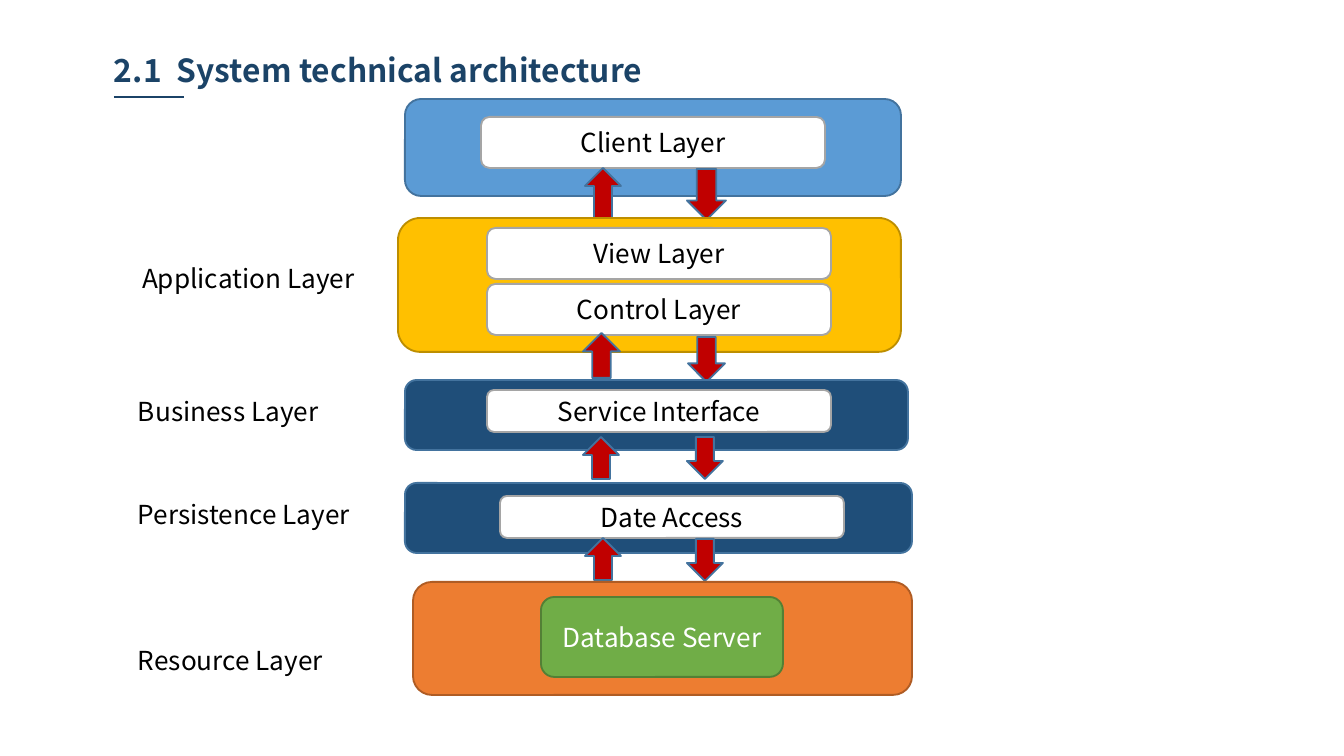
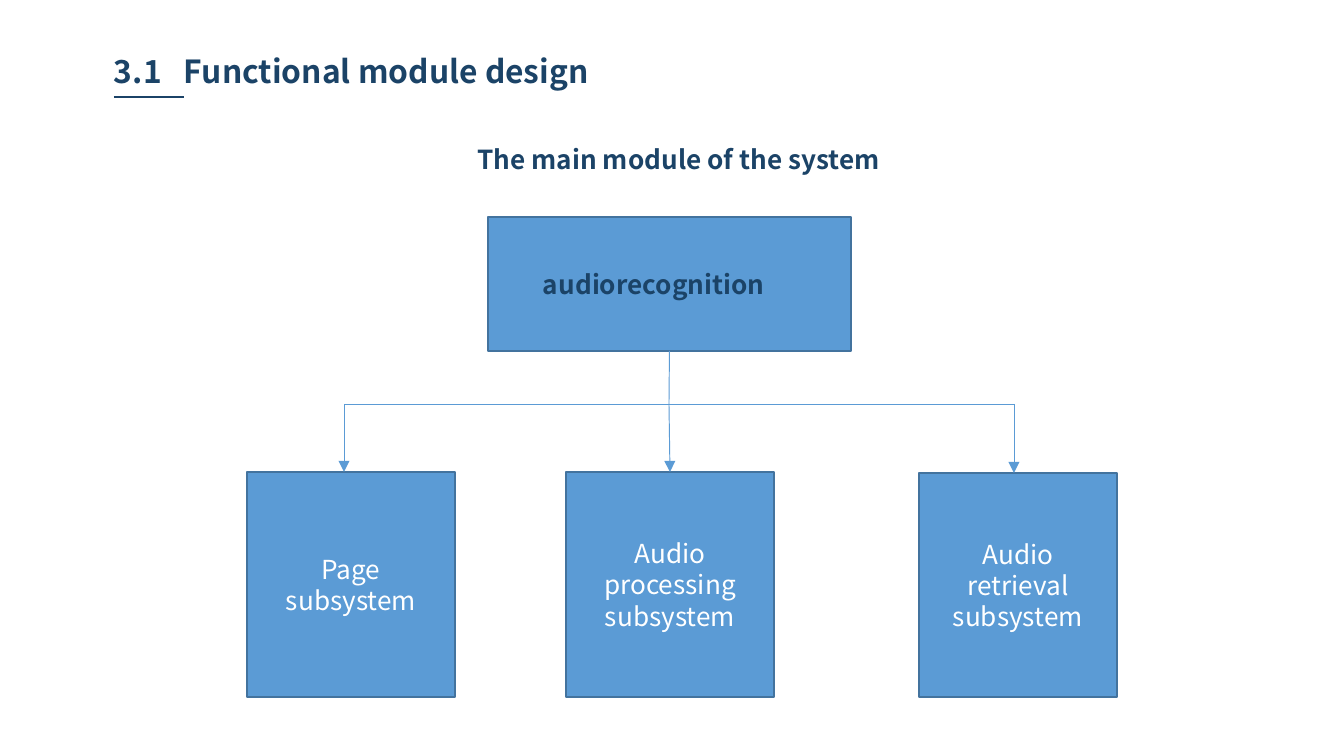
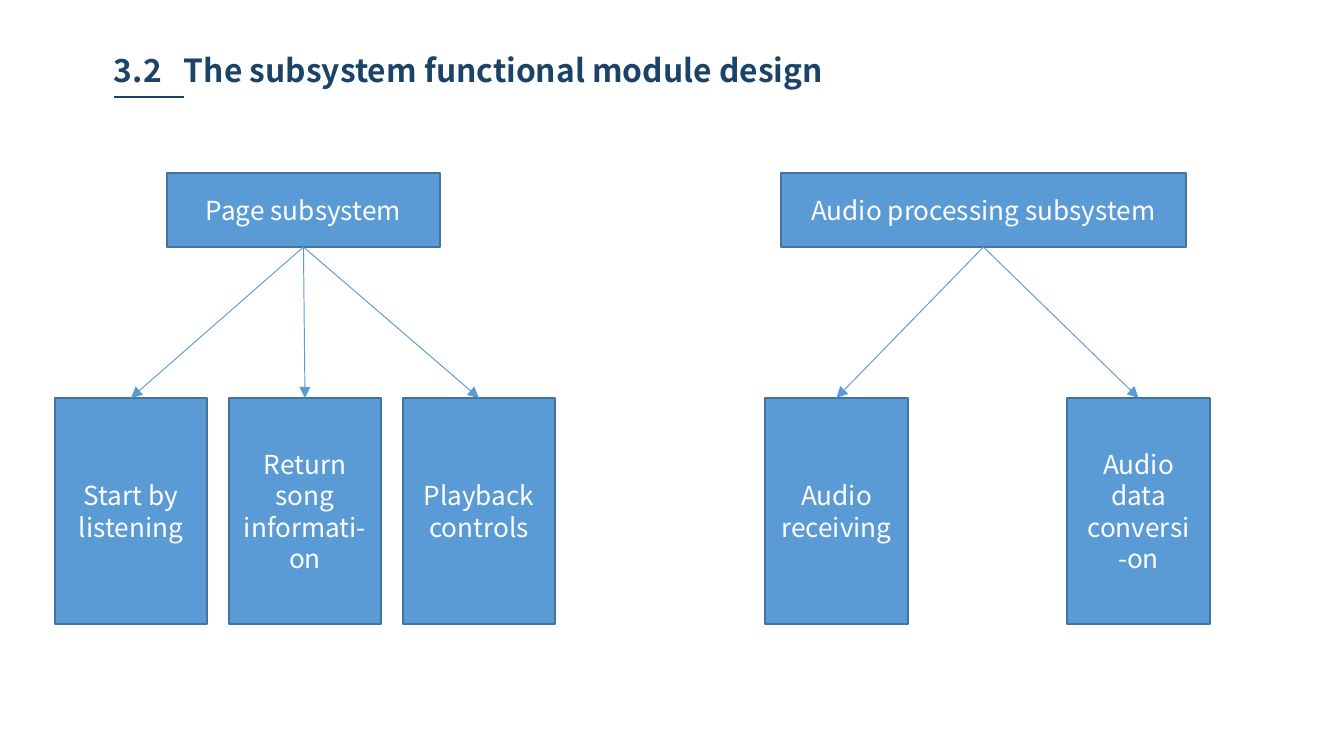
from lxml import etree
from pptx import Presentation
from pptx import util as u
from pptx.dml import color
from pptx.enum import shapes, text
from pptx.oxml import ns

SCALE = 914400 / 134.4
FONT = "Noto Sans CJK SC"
NAVY, BLUE, EDGE, WHITE, BLACK = "1B4367", "5B9BD5", "43739E", "FFFFFF", "000000"
GREY, RED, DEEP = "A5A5A5", "C00000", "1F4E79"
RECT = shapes.MSO_SHAPE.RECTANGLE
ROUND = shapes.MSO_SHAPE.ROUNDED_RECTANGLE
UP, DOWN = shapes.MSO_SHAPE.UP_ARROW, shapes.MSO_SHAPE.DOWN_ARROW
LEFT, CENTER, RIGHT = text.PP_ALIGN.LEFT, text.PP_ALIGN.CENTER, text.PP_ALIGN.RIGHT
TOP, MIDDLE = text.MSO_ANCHOR.TOP, text.MSO_ANCHOR.MIDDLE


def px(value):
    return u.Emu(round(value * SCALE))


def rgb(value):
    return color.RGBColor.from_string(value)


def set_formats(target, formats):
    for name, value in formats.items():
        setattr(target, name, value)


class Painter:
    def __init__(self):
        self.deck = Presentation()
        set_formats(self.deck, {"slide_width": px(1344), "slide_height": px(756)})
        self.page = None

    def new_page(self, number, title, place, tab):
        self.page = self.deck.slides.add_slide(self.deck.slide_layouts[6])
        para = self.label(f"{number}\t{title}", place, ink=NAVY, size=17,
                          bold=True, inset=(9, 5), wrap=True)
        stops = etree.SubElement(para._p.get_or_add_pPr(), ns.qn("a:tabLst"))
        etree.SubElement(stops, ns.qn("a:tab"), pos=str(px(tab)), algn="l")
        self.line((114, 97), (184, 97), ink=NAVY, width=0.75)

    def put_text(self, box, words, ink, size=14, bold=False, align=CENTER,
                 anchor=MIDDLE, inset=(13, 7), wrap=True):
        side, edge = map(px, inset)
        set_formats(box.text_frame, {
            "word_wrap": wrap, "vertical_anchor": anchor,
            "margin_left": side, "margin_right": side,
            "margin_top": edge, "margin_bottom": edge})
        para = box.text_frame.paragraphs[0]
        para.alignment = align
        span = para.add_run()
        span.text = words
        set_formats(span.font, {"name": FONT, "size": u.Pt(size), "bold": bold})
        span.font.color.rgb = rgb(ink)
        return para

    def label(self, words, place, ink=BLACK, align=LEFT, wrap=False, **formats):
        box = self.page.shapes.add_textbox(*map(px, place))
        return self.put_text(box, words, ink, align=align, anchor=TOP, wrap=wrap, **formats)

    def shape(self, kind, place, fill=BLUE, edge=EDGE):
        box = self.page.shapes.add_shape(kind, *map(px, place))
        box.shadow.inherit = False
        box.fill.solid()
        box.fill.fore_color.rgb = rgb(fill)
        box.line.color.rgb = rgb(edge)
        box.line.width = u.Pt(1)
        return box

    def node(self, words, place):
        box = self.shape(RECT, place)
        self.put_text(box, words, WHITE)
        return box

    def line(self, start, end, ink=BLUE, width=0.5, arrow=False):
        points = [p if isinstance(p, tuple) else (0, 0) for p in (start, end)]
        link = self.page.shapes.add_connector(
            shapes.MSO_CONNECTOR.STRAIGHT, *(px(v) for p in points for v in p))
        if not isinstance(start, tuple):
            link.begin_connect(start, 2)
        if not isinstance(end, tuple):
            link.end_connect(end, 0)
        link.line.color.rgb = rgb(ink)
        link.line.width = u.Pt(width)
        properties = link._element.spPr
        if arrow:
            etree.SubElement(properties.get_or_add_ln(), ns.qn("a:tailEnd"), type="triangle")
        etree.SubElement(properties, ns.qn("a:effectLst"))

    def tree(self, root, children):
        parent = self.node(*root)
        for child in [self.node(*item) for item in children]:
            self.line(parent, child, arrow=True)


def architecture(painter):
    painter.new_page("2.1", "System technical architecture", (105, 46, 559, 48), 63)
    layers = [
        ((405, 99, 496, 97), BLUE, EDGE, [("Client Layer", (481, 117, 344, 51))],
         [(UP, (585, 168, 36, 51)), (DOWN, (687, 169, 39, 51))]),
        ((398, 218, 503, 134), "FFC000", "BD8E00",
         [("View Layer", (487, 228, 344, 51)), ("Control Layer", (487, 284, 344, 51))],
         [(UP, (583, 333, 37, 45)), (DOWN, (688, 337, 37, 45))]),
        ((405, 380, 503, 70), DEEP, EDGE, [("Service Interface", (487, 390, 344, 42))],
         [(UP, (583, 437, 36, 42)), (DOWN, (687, 437, 36, 42))]),
        ((405, 483, 507, 70), DEEP, EDGE, [("Date Access", (500, 496, 344, 42))],
         [(UP, (585, 538, 36, 42)), (DOWN, (687, 539, 36, 42))]),
        ((413, 582, 499, 113), "ED7D31", "AF5C24", [], []),
    ]
    for place, fill, edge, cards, arrows in layers:
        painter.shape(ROUND, place, fill, edge)
        for words, card in cards:
            painter.put_text(painter.shape(ROUND, card, WHITE, GREY), words, BLACK)
        for kind, arrow in arrows:
            painter.shape(kind, arrow, RED)
    database = painter.shape(ROUND, (541, 597, 242, 80), "70AD47", "538035")
    painter.put_text(database, "Database Server", WHITE)
    for words, left, top, width in [
            ("Application Layer", 129, 255, 246), ("Business Layer", 125, 388, 210),
            ("Persistence Layer", 125, 491, 243), ("Resource Layer", 125, 637, 216)]:
        painter.label(words, (left, top, width, 46))


def main_module(painter):
    painter.new_page("3.1", "Functional module design", (105, 47, 543, 48), 70)
    painter.label("The main module of the system", (454, 138, 435, 42),
                  ink=NAVY, align=RIGHT, bold=True, inset=(9, 5))
    root = painter.shape(RECT, (488, 217, 363, 134))
    para = painter.put_text(root, "audiorecognition", NAVY, bold=True, align=LEFT)
    para._p.get_or_add_pPr().set("marL", str(px(42)))
    page = painter.node("Page subsystem", (247, 472, 208, 225))
    processing = painter.node("Audio processing subsystem", (566, 472, 208, 225))
    retrieval = painter.node("Audio retrieval subsystem", (919, 473, 198, 224))
    trunk, bus = 669, 404
    painter.line(root, (trunk, bus))
    painter.line((trunk, bus), processing, arrow=True)
    for x, child in [(344, page), (1014, retrieval)]:
        painter.line((trunk, bus), (x, bus))
        painter.line((x, bus), (x, round(child.top / SCALE)), arrow=True)


def subsystems(painter):
    painter.new_page("3.2", "The subsystem functional module design", (105, 46, 783, 87), 70)
    names = ["Start by listening", "Return song informati-on", "Playback controls"]
    painter.tree(("Page subsystem", (167, 173, 273, 74)),
                 [(name, (55 + 174 * i, 398, 152, 226)) for i, name in enumerate(names)])
    names = ["Audio receiving", "Audio data conversi -on"]
    painter.tree(("Audio processing subsystem", (781, 173, 405, 74)),
                 [(name, (765 + 302 * i, 398, 143, 226)) for i, name in enumerate(names)])


def main():
    painter = Painter()
    architecture(painter)
    main_module(painter)
    subsystems(painter)
    painter.deck.save("out.pptx")


if __name__ == "__main__":
    main()
